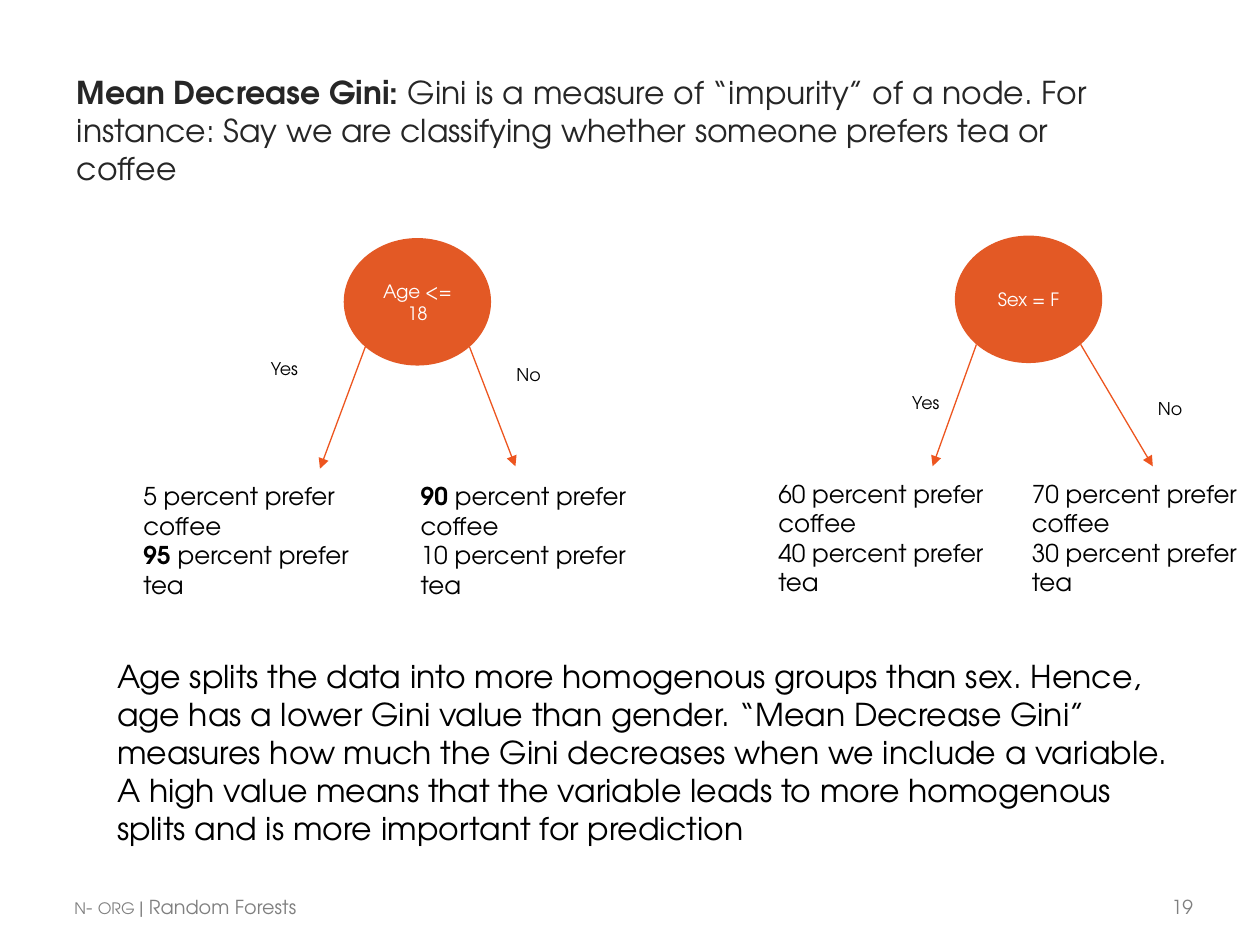
from dataclasses import dataclass
from math import sqrt

from pptx import Presentation
from pptx.dml.color import RGBColor
from pptx.enum.shapes import MSO_CONNECTOR, MSO_SHAPE
from pptx.enum.text import MSO_ANCHOR, MSO_AUTO_SIZE, PP_ALIGN
from pptx.oxml.ns import qn
from pptx.oxml.xmlchemy import OxmlElement
from pptx.shapes.autoshape import Shape
from pptx.slide import Slide
from pptx.text.text import TextFrame
from pptx.util import Cm, Pt


@dataclass(frozen=True)
class Theme:
    font: str = "TeX Gyre Adventor"
    heading: str = "262626"
    ink: str = "000000"
    muted: str = "7F7F7F"
    on_node: str = "FFFFFF"
    node: str = "E35925"
    arrow: str = "ED551F"
    main_size: float = 18
    leaf_size: float = 14
    footer_size: float = 11
    node_size: float = 10.5
    answer_size: float = 10
    small_size: float = 9


THEME = Theme()


@dataclass(frozen=True)
class Run:
    text: str
    bold: bool = False
    size: float | None = None


Line = tuple[Run, ...]


@dataclass(frozen=True)
class Box:
    """Left, top, width and height in centimetres."""
    left: float
    top: float
    width: float
    height: float


@dataclass(frozen=True)
class Branch:
    answer: str
    answer_box: Box
    answer_wraps: bool
    arrow_tip: tuple[float, float]
    leaf_box: Box
    leaf: tuple[Line, ...]


@dataclass(frozen=True)
class Split:
    question: str
    node_box: Box
    branches: tuple[Branch, Branch]


NODE_W, NODE_H = 2.97, 2.57
LEAF_W, LEAF_H = 5.36, 2.64
YES_W, NO_W, ANSWER_H = 1.73, 1.02, 0.69

SPLITS = (
    Split("Sex = F", Box(19.25, 4.75, NODE_W, NODE_H), (
        Branch("Yes", Box(18.14, 7.77, YES_W, ANSWER_H), True, (18.8, 9.4),
               Box(15.44, 9.53, 4.88, LEAF_H),
               ((Run("60 percent prefer coffee"),), (Run("40 percent prefer tea"),))),
        Branch("No", Box(23.09, 7.9, NO_W, ANSWER_H), False, (23.24, 9.4),
               Box(20.55, 9.53, LEAF_W, LEAF_H),
               ((Run("70 percent prefer coffee"),), (Run("30 percent prefer tea"),))),
    )),
    Split("Age <= 18", Box(6.93, 4.8, NODE_W, NODE_H), (
        Branch("Yes", Box(5.21, 7.09, YES_W, ANSWER_H), True, (6.45, 9.45),
               Box(2.64, 9.58, LEAF_W, LEAF_H),
               ((Run("5 percent prefer coffee"),),
                (Run("95", bold=True), Run(" percent prefer tea")))),
        Branch("No", Box(10.16, 7.21, NO_W, ANSWER_H), False, (10.39, 9.4),
               Box(8.23, 9.58, LEAF_W, LEAF_H),
               ((Run("90", bold=True), Run(" percent prefer coffee")),
                (Run("10 percent prefer tea"),))),
    )),
)

HEADING = (
    Run("Mean Decrease Gini: ", bold=True),
    Run("Gini is a measure of “impurity” of a node. For instance: Say we are "
        "classifying whether someone prefers tea or coffee"),
)
SUMMARY = Run(
    "Age splits the data into more homogenous groups than sex. Hence, age has a lower "
    "Gini value than gender. “Mean Decrease Gini” measures how much the Gini decreases "
    "when we include a variable. A high value means that the variable leads to more "
    "homogenous splits and is more important for prediction")
FOOTER = (
    Run("N", size=THEME.small_size), Run("- "),
    Run("ORG ", size=THEME.small_size), Run("| Random Forests"),
)
NO_MARGINS = {"margin_left": 0, "margin_top": 0, "margin_right": 0, "margin_bottom": 0}
FOOTER_FORMAT = NO_MARGINS | {"margin_top": Cm(0.03)}


def lengths(box: Box) -> tuple[Cm, Cm, Cm, Cm]:
    return Cm(box.left), Cm(box.top), Cm(box.width), Cm(box.height)


def write(frame: TextFrame, lines: tuple[Line, ...], size: float, color: str,
          align: PP_ALIGN = PP_ALIGN.LEFT, **frame_format) -> None:
    """Fill a frame with one paragraph per line; keywords set frame attributes."""
    for name, value in ({"word_wrap": True} | frame_format).items():
        setattr(frame, name, value)
    for index, line in enumerate(lines):
        paragraph = frame.add_paragraph() if index else frame.paragraphs[0]
        paragraph.alignment = align
        for part in line:
            run = paragraph.add_run()
            run.text = part.text
            font_format = {"name": THEME.font, "size": Pt(part.size or size),
                           "bold": part.bold}
            for name, value in font_format.items():
                setattr(run.font, name, value)
            run.font.color.rgb = RGBColor.from_string(color)


def add_text(slide: Slide, box: Box, lines: tuple[Line, ...], size: float,
             color: str = THEME.ink, **frame_format) -> Shape:
    text = slide.shapes.add_textbox(*lengths(box))
    write(text.text_frame, lines, size, color, **frame_format)
    return text


def add_node(slide: Slide, split: Split) -> None:
    node = slide.shapes.add_shape(MSO_SHAPE.OVAL, *lengths(split.node_box))
    node.shadow.inherit = False
    node.fill.solid()
    node.fill.fore_color.rgb = RGBColor.from_string(THEME.node)
    node.line.fill.background()
    write(node.text_frame, ((Run(split.question),),), THEME.node_size, THEME.on_node,
          PP_ALIGN.CENTER, vertical_anchor=MSO_ANCHOR.MIDDLE)


def add_arrow(slide: Slide, start: tuple[float, float], tip: tuple[float, float]) -> None:
    arrow = slide.shapes.add_connector(
        MSO_CONNECTOR.STRAIGHT, *(Cm(length) for length in start + tip))
    arrow.line.color.rgb = RGBColor.from_string(THEME.arrow)
    arrow.line.width = Pt(0.75)
    properties = arrow.element.spPr
    head = OxmlElement("a:tailEnd")
    head.set("type", "triangle")
    properties.find(qn("a:ln")).append(head)
    properties.append(OxmlElement("a:effectLst"))


def add_split(slide: Slide, split: Split) -> None:
    """Draw a node whose arrows leave its ellipse at 45 degrees below centre."""
    add_node(slide, split)
    node = split.node_box
    for side, branch in zip((-1, 1), split.branches):
        start = (node.left + node.width / 2 * (1 + side / sqrt(2)),
                 node.top + node.height / 2 * (1 + 1 / sqrt(2)))
        add_arrow(slide, start, branch.arrow_tip)
        add_text(slide, branch.leaf_box, branch.leaf, THEME.leaf_size)
        add_text(slide, branch.answer_box, ((Run(branch.answer),),), THEME.answer_size,
                 word_wrap=branch.answer_wraps)


def add_heading(slide: Slide) -> None:
    heading = slide.shapes.title
    heading.left, heading.top, heading.width, heading.height = lengths(
        Box(1.55, 1.47, 21.74, 3.25))
    write(heading.text_frame, (HEADING,), THEME.main_size, THEME.heading,
          vertical_anchor=MSO_ANCHOR.TOP, auto_size=MSO_AUTO_SIZE.NONE, **NO_MARGINS)


def add_footer(slide: Slide) -> None:
    for left, width, line in ((1.5, 5.38, FOOTER), (23.62, 0.71, (Run("19"),))):
        text = add_text(slide, Box(left, 18.01, width, 0.51), (line,),
                        THEME.footer_size, THEME.muted, **FOOTER_FORMAT)
        text.text_frame.paragraphs[0].space_before = Pt(1)


def main() -> None:
    deck = Presentation()
    deck.slide_width, deck.slide_height = Cm(25.4), Cm(19.05)
    slide = deck.slides.add_slide(deck.slide_layouts.get_by_name("Title Only"))
    add_heading(slide)
    for split in SPLITS:
        add_split(slide, split)
    add_text(slide, Box(2.11, 13.13, 21.74, 4.11), ((SUMMARY,),), THEME.main_size)
    add_footer(slide)
    deck.save("out.pptx")


if __name__ == "__main__":
    main()
